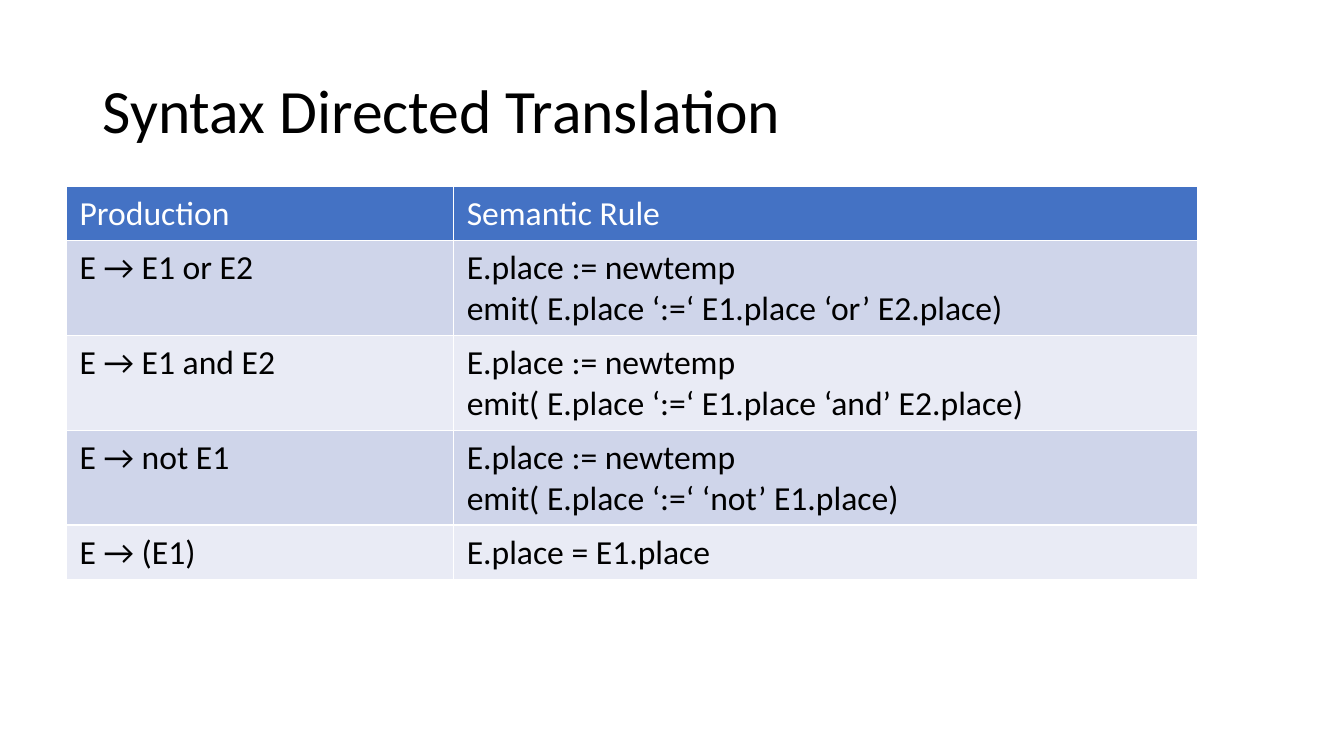
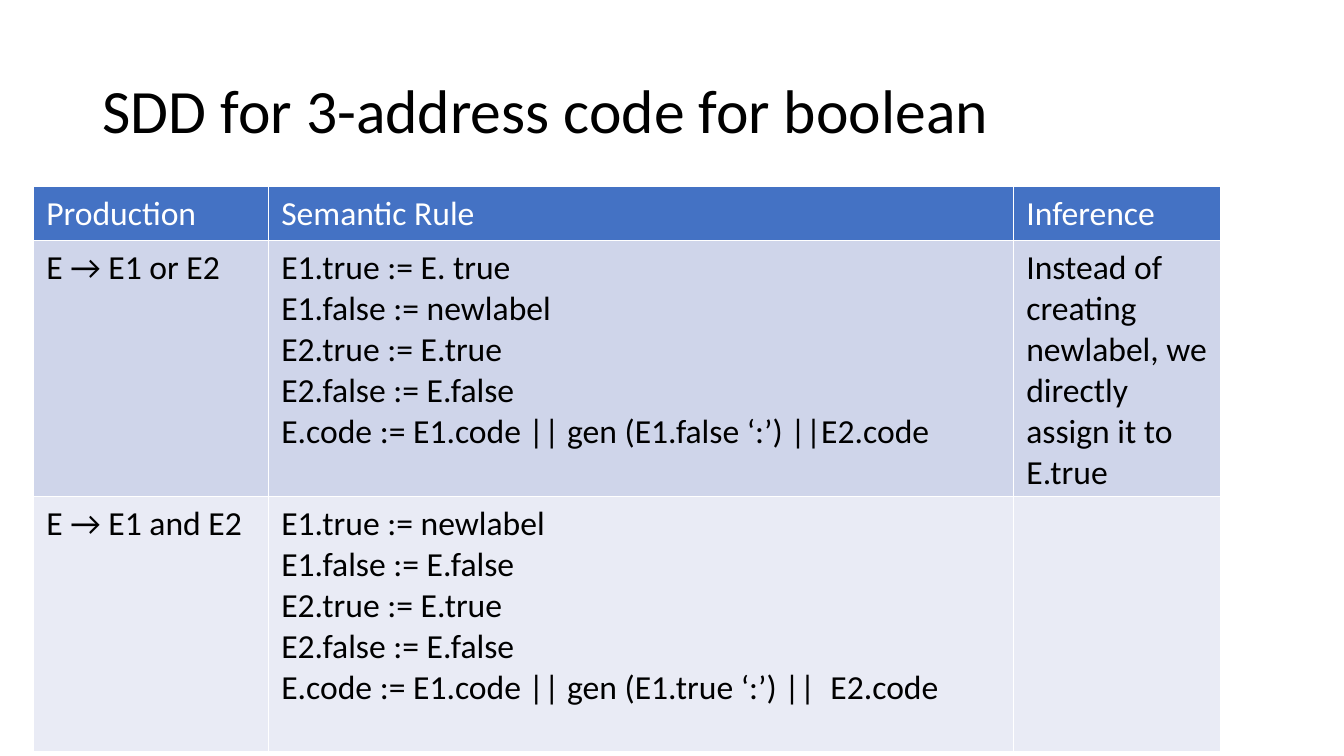
from lxml import etree
from pptx import Presentation
from pptx import util as u
from pptx.dml.color import RGBColor
from pptx.enum import text
from pptx.oxml import ns

PX = 9144  # EMU per px, 100 px to the inch
FONT = "Calibri"
BLACK, WHITE, HEADER = "000000", "FFFFFF", "4472C4"
BANDS = ("CFD5EA", "E9EBF5")
TITLE_BOX = (92, 40, 1150, 145)
TABLE_TOP = 185


def px(length):
    return u.Emu(length * PX)


def color(hex_value):
    return RGBColor.from_string(hex_value)


def style_text(frame, size, hex_value):
    for paragraph in frame.paragraphs:
        for run in paragraph.runs:
            run.font.name = FONT
            run.font.size = u.Pt(size)
            run.font.bold = False
            run.font.color.rgb = color(hex_value)


def add_title(slide, box, wording):
    frame = slide.shapes.add_textbox(*map(px, box)).text_frame
    frame.word_wrap = True
    frame.vertical_anchor = text.MSO_ANCHOR.MIDDLE
    frame.text = wording
    frame.paragraphs[0].line_spacing = 0.9
    style_text(frame, 44, BLACK)


def add_borders(cell, hex_value, points):
    properties = cell._tc.get_or_add_tcPr()
    for side in ("a:lnL", "a:lnR", "a:lnT", "a:lnB"):
        line = etree.SubElement(properties, ns.qn(side), w=str(u.Pt(points)))
        fill = etree.SubElement(line, ns.qn("a:solidFill"))
        etree.SubElement(fill, ns.qn("a:srgbClr"), val=hex_value)


def fill_cell(cell, wording, background, ink):
    cell.margin_left = cell.margin_right = px(13)
    cell.margin_top = cell.margin_bottom = px(7)
    add_borders(cell, WHITE, 1)
    cell.fill.solid()
    cell.fill.fore_color.rgb = color(background)
    cell.text_frame.text = wording
    style_text(cell.text_frame, 24, ink)


def add_rule_table(slide, left, top, widths, heights, rows):
    table = slide.shapes.add_table(
        len(rows), len(widths), px(left), px(top),
        px(sum(widths)), px(sum(heights))).table
    for column, width in zip(table.columns, widths):
        column.width = px(width)
    for index, (row, height, wordings) in enumerate(
            zip(table.rows, heights, rows)):
        row.height = px(height)
        # Header row first, then alternating bands
        background = BANDS[(index - 1) % 2] if index else HEADER
        ink = BLACK if index else WHITE
        for cell, wording in zip(row.cells, wordings):
            fill_cell(cell, wording, background, ink)


def add_rule_slide(deck, title, left, widths, heights, rows):
    slide = deck.slides.add_slide(deck.slide_layouts[6])
    add_title(slide, TITLE_BOX, title)
    add_rule_table(slide, left, TABLE_TOP, widths, heights, rows)


TRANSLATION_ROWS = [
    ("Production", "Semantic Rule"),
    ("E → E1 or E2",
     "E.place := newtemp\nemit( E.place ‘:=‘ E1.place ‘or’ E2.place)"),
    ("E → E1 and E2",
     "E.place := newtemp\nemit( E.place ‘:=‘ E1.place ‘and’ E2.place)"),
    ("E → not E1",
     "E.place := newtemp\nemit( E.place ‘:=‘ ‘not’ E1.place)"),
    ("E → (E1)", "E.place = E1.place"),
]

BOOLEAN_ROWS = [
    ("Production", "Semantic Rule", "Inference"),
    ("E → E1 or E2",
     "E1.true := E. true\n"
     "E1.false := newlabel\n"
     "E2.true := E.true\n"
     "E2.false := E.false\n"
     "E.code := E1.code || gen (E1.false ‘:’) ||E2.code",
     "Instead of creating newlabel, we directly assign it to E.true"),
    ("E → E1 and E2",
     "E1.true := newlabel\n"
     "E1.false := E.false\n"
     "E2.true := E.true\n"
     "E2.false := E.false\n"
     "E.code := E1.code || gen (E1.true ‘:’) ||  E2.code",
     ""),
]


def main():
    deck = Presentation()
    deck.slide_width, deck.slide_height = px(1333), px(750)
    add_rule_slide(deck, "Syntax Directed Translation", 66,
                   (384, 738), (54, 93, 93, 93, 54), TRANSLATION_ROWS)
    add_rule_slide(deck, "SDD for 3-address code for boolean", 33,
                   (233, 739, 206), (54, 253, 253), BOOLEAN_ROWS)
    deck.save("out.pptx")


if __name__ == "__main__":
    main()
